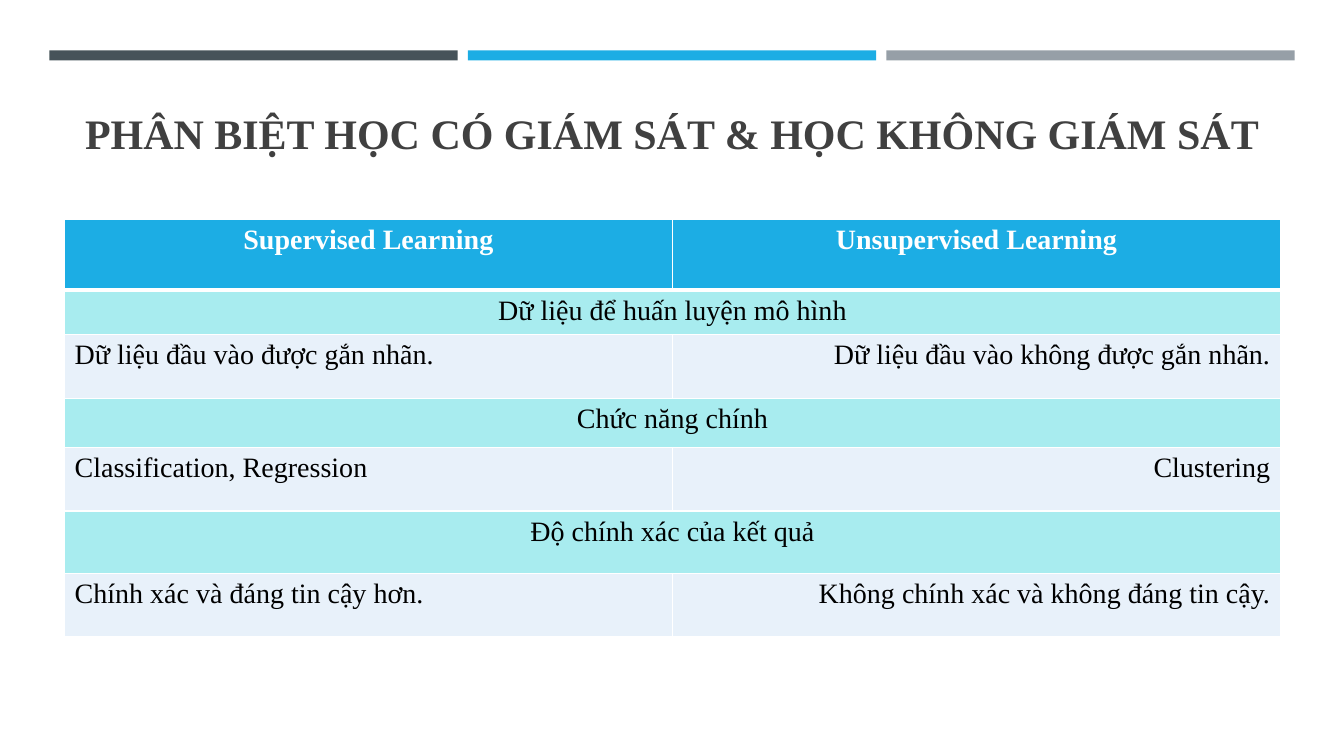
from lxml import etree
from pptx import Presentation
from pptx.dml.color import RGBColor
from pptx.enum.shapes import MSO_SHAPE
from pptx.enum.text import MSO_ANCHOR, MSO_AUTO_SIZE, PP_ALIGN
from pptx.oxml.ns import qn
from pptx.util import Inches, Pt

RECT = MSO_SHAPE.RECTANGLE
BOTTOM = MSO_ANCHOR.BOTTOM
NO_FIT = MSO_AUTO_SIZE.NONE
LEFT, CENTER, RIGHT = PP_ALIGN.LEFT, PP_ALIGN.CENTER, PP_ALIGN.RIGHT

BLUE, AQUA, PALE = "1CADE4", "A8ECEF", "E8F1FA"
WHITE, BLACK, DARK = "FFFFFF", "000000", "404040"

ROWS = [
    (0.70, ["Supervised Learning", "Unsupervised Learning"]),
    (0.44, ["Dữ liệu để huấn luyện mô hình"]),
    (0.63, ["Dữ liệu đầu vào được gắn nhãn.", "Dữ liệu đầu vào không được gắn nhãn."]),
    (0.49, ["Chức năng chính"]),
    (0.63, ["Classification, Regression", "Clustering"]),
    (0.62, ["Độ chính xác của kết quả"]),
    (0.63, ["Chính xác và đáng tin cậy hơn.", "Không chính xác và không đáng tin cậy."]),
]


def rgb(value):
    return RGBColor.from_string(value)


class Slide:
    font = "Times New Roman"

    def __init__(self, prs):
        self.s = prs.slides.add_slide(prs.slide_layouts[5])

    def format(self, p, size, color, bold, align):
        p.alignment = align
        for r in p.runs:
            r.font.name = self.font
            r.font.size = Pt(size)
            r.font.bold = bold
            r.font.color.rgb = rgb(color)

    def bar(self, x, y, w, h, color):
        sp = self.s.shapes.add_shape(RECT, Inches(x), Inches(y), Inches(w), Inches(h))
        sp.shadow.inherit = False
        sp.fill.solid()
        sp.fill.fore_color.rgb = rgb(color)
        sp.line.fill.background()

    def title(self, text, x, y, w, h):
        sp = self.s.shapes.title
        sp.left, sp.top, sp.width, sp.height = Inches(x), Inches(y), Inches(w), Inches(h)
        tf = sp.text_frame
        tf.text = text
        tf.word_wrap = True
        tf.auto_size = NO_FIT
        tf.vertical_anchor = BOTTOM
        self.format(tf.paragraphs[0], 30, DARK, True, CENTER)

    def borders(self, cell, top, bottom):
        tcPr = cell._tc.get_or_add_tcPr()
        sides = [("a:lnL", 1), ("a:lnR", 1), ("a:lnT", top), ("a:lnB", bottom)]
        for i, (tag, width) in enumerate(sides):
            ln = etree.Element(qn(tag), w=str(Pt(width)))
            fill = etree.SubElement(ln, qn("a:solidFill"))
            etree.SubElement(fill, qn("a:srgbClr"), val=WHITE)
            tcPr.insert(i, ln)

    def table(self, rows, x, y, w):
        height = sum(h for h, _ in rows)
        frame = self.s.shapes.add_table(len(rows), 2, Inches(x), Inches(y), Inches(w), Inches(height))
        table = frame.table
        for col in table.columns:
            col.width = Inches(w / 2)
        for i, (h, texts) in enumerate(rows):
            table.rows[i].height = Inches(h)
            header, section = i == 0, len(texts) == 1
            fill = BLUE if header else AQUA if section else PALE
            aligns = (CENTER, CENTER) if header or section else (LEFT, RIGHT)
            for cell in table.rows[i].cells:
                cell.fill.solid()
                cell.fill.fore_color.rgb = rgb(fill)
                self.borders(cell, 3 if i == 1 else 1, 3 if header else 1)
            if section:
                table.cell(i, 0).merge(table.cell(i, 1))
            for j, text in enumerate(texts):
                p = table.cell(i, j).text_frame.paragraphs[0]
                p.text = text
                self.format(p, 20, WHITE if header else BLACK, header, aligns[j])


def main():
    prs = Presentation()
    prs.slide_width, prs.slide_height = Inches(13.33), Inches(7.5)
    slide = Slide(prs)
    for i, color in enumerate(["465359", BLUE, "969FA7"]):
        slide.bar(0.49 + 4.15 * i, 0.5, 4.05, 0.1, color)
    slide.title("PHÂN BIỆT HỌC CÓ GIÁM SÁT & HỌC KHÔNG GIÁM SÁT", 0.64, 0.32, 12.06, 1.3)
    slide.table(ROWS, 0.64, 2.18, 12.06)
    prs.save("out.pptx")


if __name__ == "__main__":
    main()
